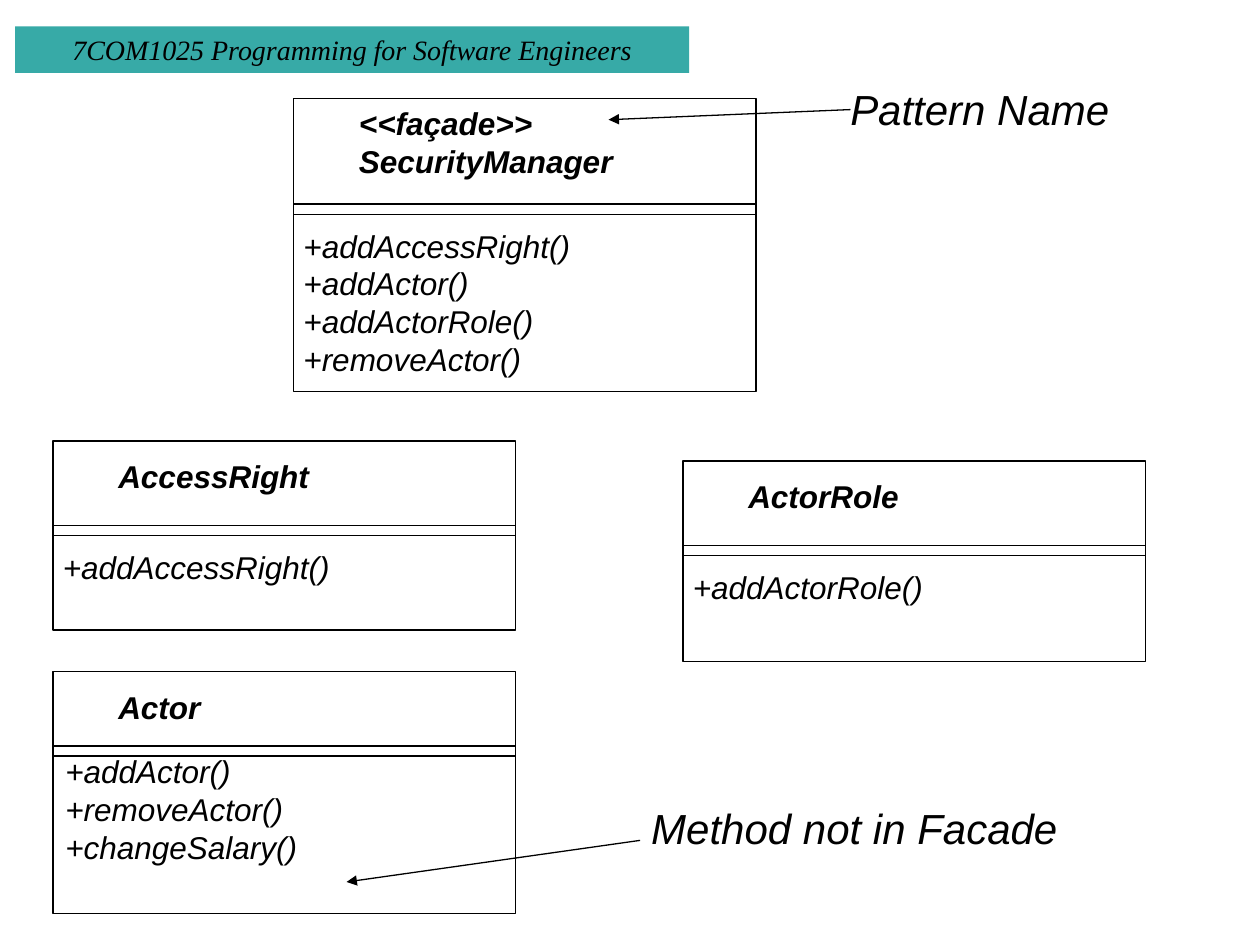
from lxml import etree
from pptx import Presentation
from pptx.dml.color import RGBColor
from pptx.enum.shapes import MSO_CONNECTOR, MSO_SHAPE
from pptx.enum.text import MSO_ANCHOR, PP_ALIGN
from pptx.oxml.ns import qn
from pptx.util import Inches, Pt

RECTANGLE = MSO_SHAPE.RECTANGLE
STRAIGHT = MSO_CONNECTOR.STRAIGHT
MIDDLE = MSO_ANCHOR.MIDDLE
CENTER = PP_ALIGN.CENTER
BLACK = RGBColor(0x00, 0x00, 0x00)
TEAL = RGBColor(0x37, 0xAA, 0xA7)

CLASS_WIDTH = 3.67
NAME_INDENT = 0.42
DIVIDER_GAP = 0.08

# name lines, methods, left, top, height, name offset, divider offset,
# methods offset (x, y) from the divider
CLASSES = [
    (["<<façade>>", "SecurityManager"],
     ["+addAccessRight()", "+addActor()", "+addActorRole()", "+removeActor()"],
     2.33, 0.78, 2.33, 0, 0.84, (-0.02, 0.13)),
    (["AccessRight"], ["+addAccessRight()"],
     0.42, 3.5, 1.5, 0.08, 0.67, (-0.02, 0.13)),
    (["Actor"], ["+addActor()", "+removeActor()", "+changeSalary()"],
     0.42, 5.33, 1.92, 0.08, 0.59, (0, 0)),
    (["ActorRole"], ["+addActorRole()"],
     5.42, 3.66, 1.59, 0.08, 0.67, (-0.02, 0.13)),
]

# text, left, top, width, arrow start, arrow end
CALLOUTS = [
    ("Method not in Facade", 5.07, 6.32, 4.02, (5.08, 6.67), (2.75, 7)),
    ("Pattern Name", 6.65, 0.61, 2.6, (6.75, 0.87), (4.83, 0.95)),
]


def write_lines(frame, lines, size, font_name="Arial", bold=False):
    frame.word_wrap = True
    for index, line in enumerate(lines):
        paragraph = frame.paragraphs[0] if index == 0 else frame.add_paragraph()
        paragraph.text = line
        font = paragraph.font
        font.name, font.size = font_name, Pt(size)
        font.bold, font.italic = bold, True
        font.color.rgb = BLACK


def add_label(slide, lines, left, top, width, size, bold=False):
    height = 0.1 + len(lines) * size / 60
    label = slide.shapes.add_textbox(
        Inches(left), Inches(top), Inches(width), Inches(height))
    write_lines(label.text_frame, lines, size, bold=bold)


def add_rule(slide, start, end, arrow=False):
    rule = slide.shapes.add_connector(
        STRAIGHT, *(Inches(value) for value in (*start, *end)))
    rule.line.color.rgb = BLACK
    rule.line.width = Pt(0.75)
    if arrow:
        etree.SubElement(rule.line._get_or_add_ln(), qn("a:tailEnd"), type="triangle")
    etree.SubElement(rule._element.spPr, qn("a:effectLst"))


def add_box(slide, left, top, width, height):
    box = slide.shapes.add_shape(
        RECTANGLE, Inches(left), Inches(top), Inches(width), Inches(height))
    box.shadow.inherit = False
    return box


def add_course_banner(slide, left, top, width, height):
    banner = add_box(slide, left, top, width, height)
    banner.fill.solid()
    banner.fill.fore_color.rgb = TEAL
    banner.line.fill.background()
    frame = banner.text_frame
    write_lines(frame, ["7COM1025 Programming for Software Engineers"], 16,
                "Times New Roman")
    frame.vertical_anchor = MIDDLE
    frame.paragraphs[0].alignment = CENTER


def add_class(slide, name, methods, left, top, height,
              name_offset, divider_offset, methods_offset):
    # Outline
    outline = add_box(slide, left, top, CLASS_WIDTH, height)
    outline.fill.background()
    outline.line.color.rgb = BLACK
    outline.line.width = Pt(0.75)

    # Double divider
    divider = top + divider_offset
    for y in (divider, divider + DIVIDER_GAP):
        add_rule(slide, (left, y), (left + CLASS_WIDTH, y))

    # Name and methods
    add_label(slide, name, left + NAME_INDENT, top + name_offset,
              CLASS_WIDTH - NAME_INDENT, 18, bold=True)
    dx, dy = methods_offset
    add_label(slide, methods, left + dx, divider + dy, CLASS_WIDTH, 18)


def add_callout(slide, text, left, top, width, start, end):
    add_label(slide, [text], left, top, width, 24)
    add_rule(slide, start, end, arrow=True)


def main():
    deck = Presentation()
    deck.slide_width, deck.slide_height = Inches(10), Inches(7.5)
    slide = deck.slides.add_slide(deck.slide_layouts[6])
    add_course_banner(slide, 0.12, 0.21, 5.35, 0.37)
    for uml_class in CLASSES:
        add_class(slide, *uml_class)
    for callout in CALLOUTS:
        add_callout(slide, *callout)
    deck.save("out.pptx")


if __name__ == "__main__":
    main()
